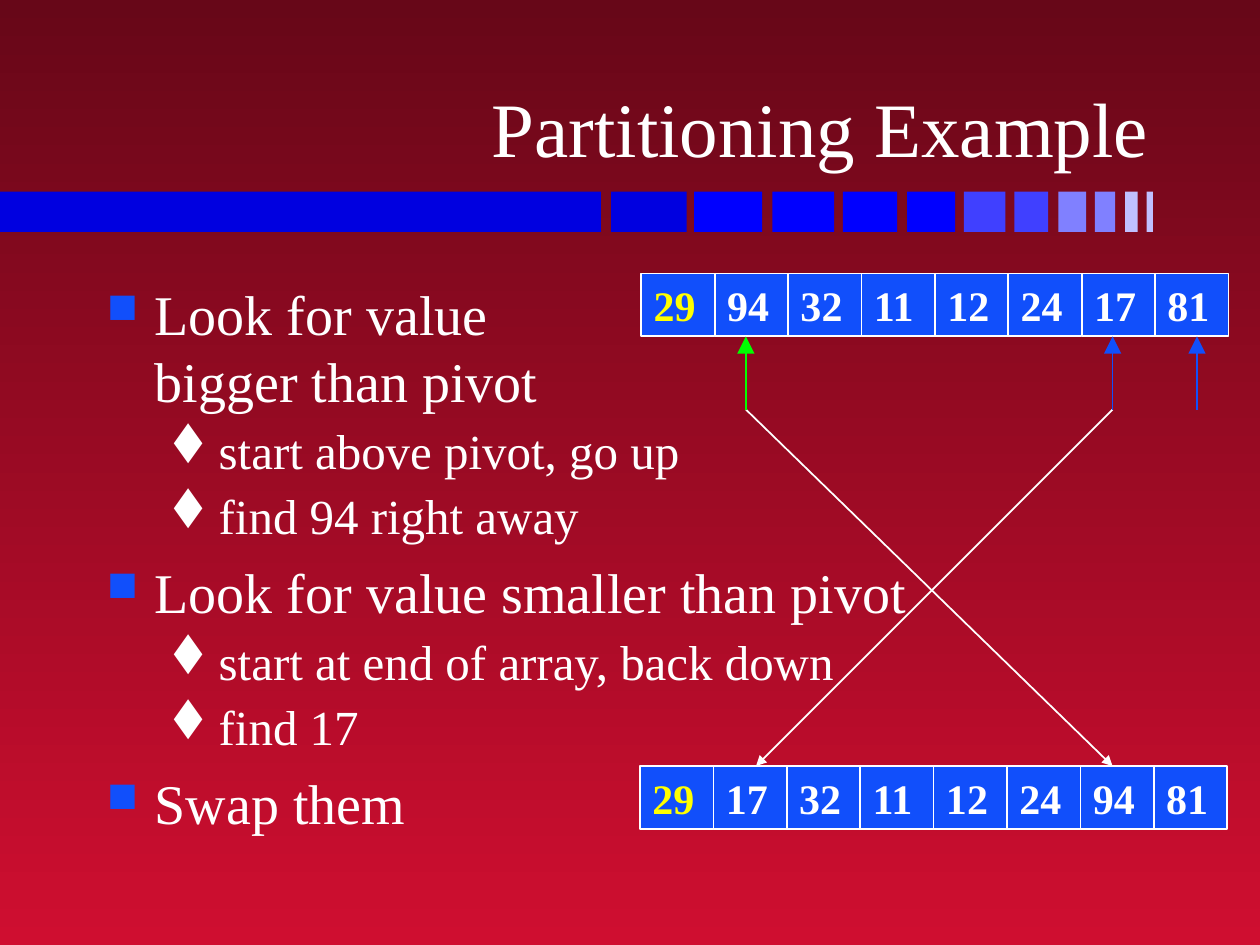
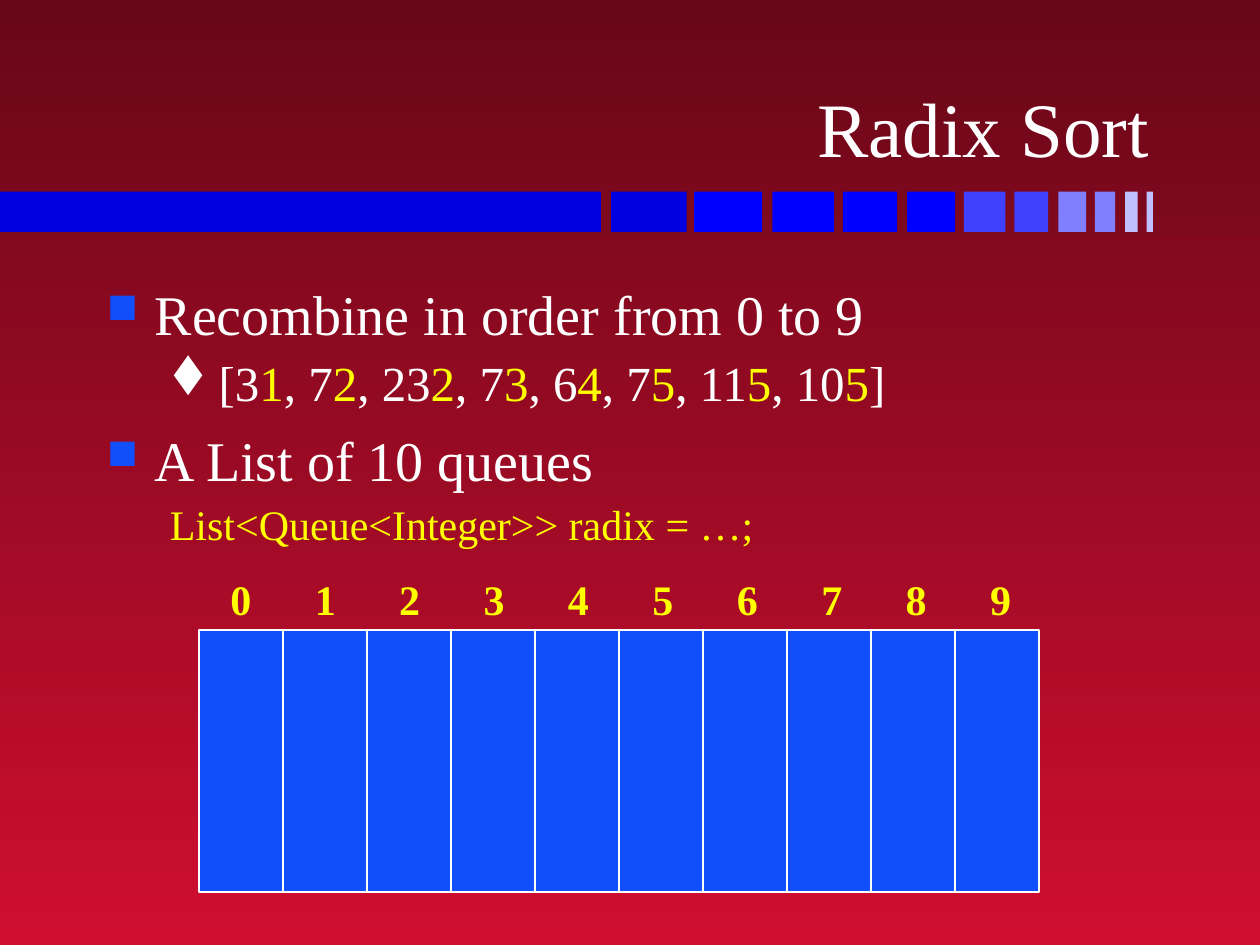
from lxml import etree
from pptx import Presentation
from pptx.dml.color import RGBColor
from pptx.enum.shapes import MSO_CONNECTOR, MSO_SHAPE
from pptx.enum.text import MSO_ANCHOR, PP_ALIGN
from pptx.oxml.ns import qn
from pptx.util import Inches, Pt

FONT = "Times New Roman"
COLORS = {
    "top": "670718", "bottom": "CF0E30",
    "text": "FFFFFF", "accent": "FFFF00", "cell": "114FFB", "found": "00FF00",
    "band1": "0000E0", "band2": "0000FF", "band3": "4040FF",
    "band4": "8080FF", "band5": "C0C0FF",
}
# Band blocks: left, width, colour
BAND = [
    (0, 4.77, "band1"), (4.85, 0.6, "band1"), (5.51, 0.54, "band2"),
    (6.13, 0.49, "band2"), (6.69, 0.43, "band2"), (7.2, 0.38, "band2"),
    (7.65, 0.33, "band3"), (8.05, 0.27, "band3"), (8.4, 0.22, "band4"),
    (8.69, 0.16, "band4"), (8.93, 0.1, "band5"), (9.1, 0.05, "band5"),
]
# Outline levels: size, margin, indent, space before, bullet, its colour, its size
# In the symbol typeface, n is a square and t a lozenge
LEVELS = {
    "point": (32, 0.38, -0.38, 8, "n", "cell", 75),
    "detail": (28, 0.81, -0.31, 3.5, "t", "text", 100),
    "code": (24, 0.81, -0.31, 3, None, None, None),
}


def rgb(name):
    return RGBColor.from_string(COLORS[name])


def write(paragraph, text, size=24, color="text", bold=False, align=PP_ALIGN.LEFT):
    """Write text; parts between asterisks take the accent colour."""
    paragraph.alignment = align
    for index, part in enumerate(text.split("*")):
        # A line break inside a part starts a new run
        for line_index, line in enumerate(part.split("\n")):
            if line_index:
                paragraph.add_line_break()
            if not line:
                continue
            run = paragraph.add_run()
            run.text = line
            run.font.name = FONT
            run.font.size = Pt(size)
            run.font.bold = bold
            run.font.color.rgb = rgb("accent" if index % 2 else color)


def set_bullet(paragraph, char, color, percent):
    props = paragraph._p.get_or_add_pPr()
    if char is None:
        etree.SubElement(props, qn("a:buNone"))
        return
    bullet_color = etree.SubElement(props, qn("a:buClr"))
    etree.SubElement(bullet_color, qn("a:srgbClr"), val=COLORS[color])
    etree.SubElement(props, qn("a:buSzPct"), val=str(percent * 1000))
    etree.SubElement(props, qn("a:buFont"), typeface="Wingdings",
                     pitchFamily="2", charset="2")
    etree.SubElement(props, qn("a:buChar"), char=char)


class Deck:
    def __init__(self):
        self.prs = Presentation()
        self.prs.slide_width, self.prs.slide_height = Inches(10), Inches(7.5)
        self.slide = None

    def new_slide(self, title):
        self.slide = self.prs.slides.add_slide(self.prs.slide_layouts[5])
        # Background
        fill = self.slide.background.fill
        fill.gradient()
        fill.gradient_angle = 270
        for stop, position, color in zip(fill.gradient_stops, (0, 1), ("top", "bottom")):
            stop.position = position
            stop.color.rgb = rgb(color)
        # Band
        for left, width, color in BAND:
            self.box(left, 1.52, width, 0.32, color)
        # Title
        heading = self.slide.shapes.title
        heading.left, heading.top = Inches(0.74), Inches(0.19)
        heading.width, heading.height = Inches(8.48), Inches(1.23)
        heading.text_frame.vertical_anchor = MSO_ANCHOR.BOTTOM
        write(heading.text_frame.paragraphs[0], title, size=44, align=PP_ALIGN.RIGHT)

    def box(self, left, top, width, height, color, outlined=False):
        block = self.slide.shapes.add_shape(
            MSO_SHAPE.RECTANGLE, Inches(left), Inches(top), Inches(width), Inches(height))
        block.shadow.inherit = False
        block.fill.solid()
        block.fill.fore_color.rgb = rgb(color)
        if outlined:
            block.line.color.rgb = rgb("text")
            block.line.width = Pt(1)
        else:
            block.line.fill.background()
        return block

    def array(self, left, top, values):
        width = 4.66 / len(values)
        for index, value in enumerate(values):
            frame = self.box(left + index * width, top, width, 0.5, "cell", True).text_frame
            frame.word_wrap = False
            frame.vertical_anchor = MSO_ANCHOR.MIDDLE
            write(frame.paragraphs[0], str(value), bold=True,
                  color="text" if index else "accent")

    def label(self, left, top, width, height, text):
        frame = self.slide.shapes.add_textbox(
            Inches(left), Inches(top), Inches(width), Inches(height)).text_frame
        frame.word_wrap = False
        write(frame.paragraphs[0], text, color="accent", bold=True)

    def outline(self, items):
        frame = self.slide.shapes.add_textbox(
            Inches(0.75), Inches(2.17), Inches(8.5), Inches(4.5)).text_frame
        frame.word_wrap = True
        for index, (level, text) in enumerate(items):
            size, margin, indent, before, char, color, percent = LEVELS[level]
            paragraph = frame.add_paragraph() if index else frame.paragraphs[0]
            props = paragraph._p.get_or_add_pPr()
            props.set("marL", str(Inches(margin)))
            props.set("indent", str(Inches(indent)))
            set_bullet(paragraph, char, color, percent)
            if index:
                paragraph.space_before = Pt(before)
            write(paragraph, text, size=size)

    def arrow(self, start, end, color, head="med"):
        x1, y1, x2, y2 = (Inches(value) for value in (*start, *end))
        arrow = self.slide.shapes.add_connector(MSO_CONNECTOR.STRAIGHT, x1, y1, x2, y2)
        arrow.line.color.rgb = rgb(color)
        arrow.line.width = Pt(1)
        etree.SubElement(arrow.line._get_or_add_ln(), qn("a:tailEnd"),
                         type="triangle", w=head, len=head)
        etree.SubElement(arrow._element.spPr, qn("a:effectLst"))


def partitioning(deck):
    deck.new_slide("Partitioning Example")
    deck.outline([
        ("point", "Look for value \nbigger than pivot"),
        ("detail", "start above pivot, go up"),
        ("detail", "find 94 right away"),
        ("point", "Look for value smaller than pivot"),
        ("detail", "start at end of array, back down"),
        ("detail", "find 17"),
        ("point", "Swap them"),
    ])
    # Array before and after the swap
    deck.array(5.09, 2.17, [29, 94, 32, 11, 12, 24, 17, 81])
    deck.array(5.08, 6.08, [29, 17, 32, 11, 12, 24, 94, 81])
    # Swap
    bigger, smaller, last = 5.92, 8.83, 9.5
    deck.arrow((bigger, 3.25), (smaller, 6.08), "text")
    deck.arrow((smaller, 3.25), (6, 6.08), "text")
    # Search positions
    for x, color in ((bigger, "found"), (last, "cell"), (smaller, "cell")):
        deck.arrow((x, 3.25), (x, 2.67), color, head="lg")


def radix_sort(deck):
    deck.new_slide("Radix Sort")
    deck.outline([
        ("point", "Recombine in order from 0 to 9"),
        ("detail", "[3*1*, 7*2*, 23*2*, 7*3*, 6*4*, 7*5*, 11*5*, 10*5*]"),
        ("point", "A List of 10 queues"),
        ("code", "*List<Queue<Integer>> radix = …;*"),
    ])
    # Ten digit queues
    queue_width = 2 / 3
    for digit in range(10):
        deck.label(1.73 + digit * 0.67, 4.5, 0.36, 0.5, str(digit))
        deck.box(1.58 + digit * queue_width, 5, queue_width, 2.08, "cell", outlined=True)


def main():
    deck = Deck()
    partitioning(deck)
    radix_sort(deck)
    deck.prs.save("out.pptx")


if __name__ == "__main__":
    main()
